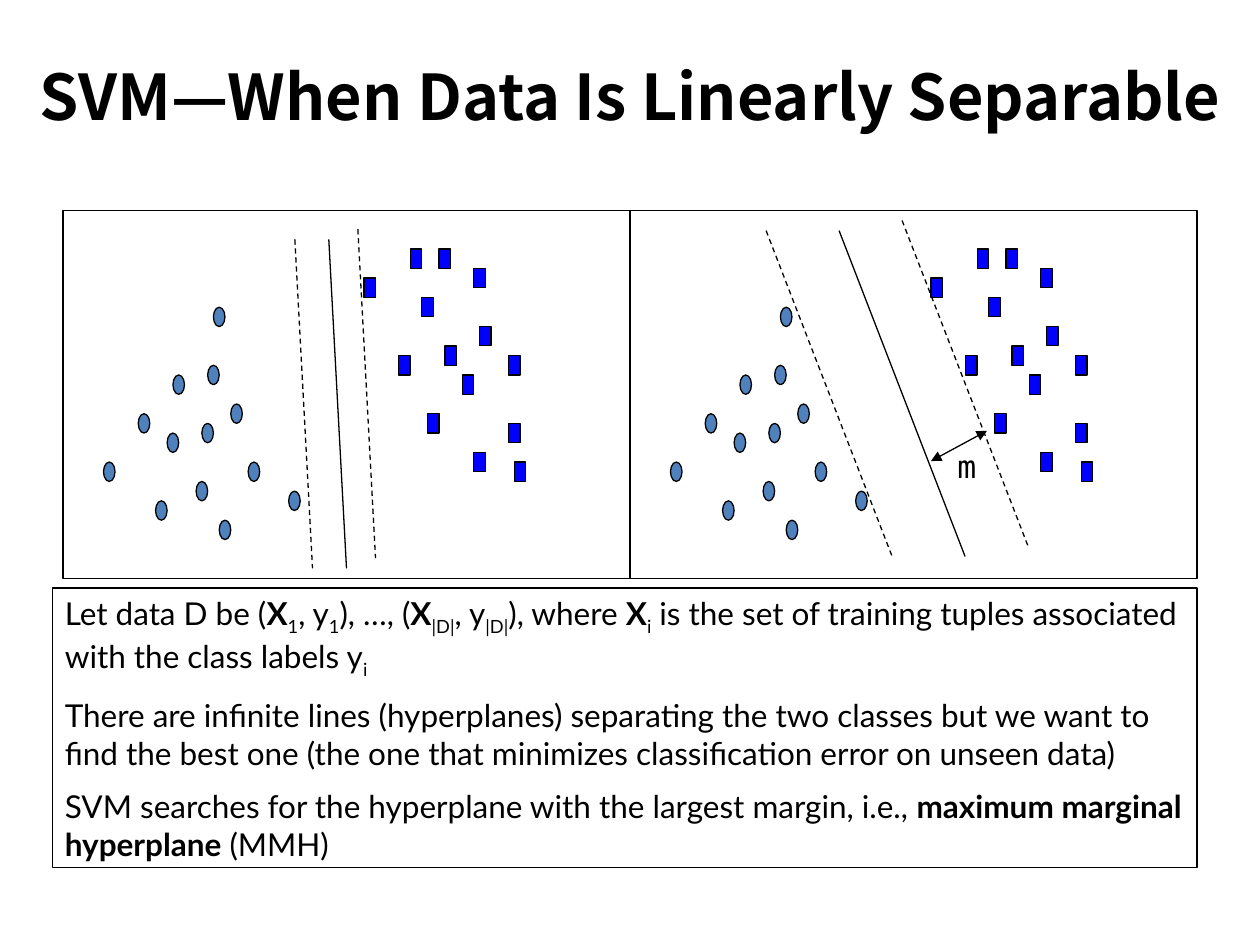
from pptx import Presentation
from pptx.dml.color import RGBColor
from pptx.enum.dml import MSO_LINE
from pptx.enum.shapes import MSO_CONNECTOR, MSO_SHAPE as SHAPE
from pptx.enum.text import MSO_ANCHOR as ANCHOR, PP_ALIGN as ALIGN
from pptx.oxml.ns import qn
from pptx.util import Pt
from lxml.etree import SubElement

COLORS = {"ink": "000000", "circle": "4F81BD", "square": "0000FF"}
TITLE_FONT, BODY_FONT, LABEL_FONT = "Noto Sans CJK SC", "Lato", "DejaVu Sans Mono"

PANEL_TOP, PANEL_WIDTH, PANEL_HEIGHT = 120.24, 324, 210.24
PANEL_LEFTS = (36, 360)
# Data points sit on a grid of 98 by 38 cells; each marker spans two cells.
CELL_WIDTH, CELL_HEIGHT = PANEL_WIDTH / 98, PANEL_HEIGHT / 38

CIRCLES = [(16, 30), (18, 23), (7, 26), (13, 21), (23, 28), (19, 17), (24, 22),
           (25, 16), (29, 20), (32, 26), (27, 32), (39, 29), (26, 10)]
SQUARES = [(58, 15), (52, 7), (60, 4), (63, 21), (62, 9), (66, 14), (65, 4),
           (71, 6), (69, 17), (72, 12), (71, 25), (77, 15), (77, 22), (78, 26)]

# Per panel: the common run and drop, then the start and dash of each line.
SEPARATORS = [
    ((10.1, 188), [(204.5, 131, True), (168.5, 136.8, True), (187.9, 136.8, False)]),
    ((72, 186.2), [(437.8, 131.8, True), (515.5, 126, True), (479.5, 131.8, False)]),
]

BODY = [
    [("Let data D be (", ""), ("X", "bold"), ("1", "sub"), (", y", ""), ("1", "sub"),
     ("), …, (", ""), ("X", "bold"), ("|D|", "sub"), (", y", ""), ("|D|", "sub"),
     ("), where ", ""), ("X", "bold"), ("i", "sub"),
     (" is the set of training tuples associated with the class labels y", ""),
     ("i", "sub")],
    [("There are infinite lines (hyperplanes) separating the two classes but we want to "
      "find the best one (the one that minimizes classification error on unseen data)", "")],
    [("SVM searches for the hyperplane with the largest margin, i.e., ", ""),
     ("maximum marginal hyperplane", "bold"), (" (MMH)", "")],
]


class SlideBuilder:
    def __init__(self, slide):
        self.slide = slide
        self.shapes = slide.shapes

    def start_group(self):
        self.shapes = self.slide.shapes.add_group_shape().shapes

    def end_group(self):
        self.shapes = self.slide.shapes

    def color(self, name):
        return RGBColor.from_string(COLORS[name])

    def outline(self, line):
        line.color.rgb = self.color("ink")
        line.width = Pt(0.75)

    def shape(self, kind, left, top, width, height, fill=None):
        shape = self.shapes.add_shape(kind, Pt(left), Pt(top), Pt(width), Pt(height))
        shape.shadow.inherit = False
        if fill:
            shape.fill.solid()
            shape.fill.fore_color.rgb = self.color(fill)
        else:
            shape.fill.background()
        self.outline(shape.line)
        return shape

    def line(self, start, end, dashed=False, arrows=False):
        connector = self.shapes.add_connector(
            MSO_CONNECTOR.STRAIGHT, *(Pt(value) for value in (*start, *end)))
        self.outline(connector.line)
        if dashed:
            connector.line.dash_style = MSO_LINE.DASH
        properties = connector._element.spPr
        if arrows:
            for tag in ("a:headEnd", "a:tailEnd"):
                SubElement(properties.find(qn("a:ln")), qn(tag), type="triangle")
        SubElement(properties, qn("a:effectLst"))

    def markers(self, kind, fill, cells, panel_left):
        for column, row in cells:
            self.shape(kind, panel_left + column * CELL_WIDTH, PANEL_TOP + row * CELL_HEIGHT,
                       2 * CELL_WIDTH, 2 * CELL_HEIGHT, fill)

    def fill_text(self, shape, paragraphs, font, size, align=ALIGN.LEFT, anchor=ANCHOR.TOP):
        """Fill a shape with paragraphs, each a list of (text, style) runs."""
        frame = shape.text_frame
        frame.word_wrap = True
        frame.vertical_anchor = anchor
        for index, runs in enumerate(paragraphs):
            paragraph = frame.add_paragraph() if index else frame.paragraphs[0]
            paragraph.alignment = align
            if index:
                paragraph.space_before = Pt(size / 2)
            for text, style in runs:
                run = paragraph.add_run()
                run.text = text
                run.font.name = font
                run.font.size = Pt(size)
                run.font.color.rgb = self.color("ink")
                run.font.bold = style == "bold"
                if style == "sub":
                    run.font._element.set("baseline", "-25000")

    def text(self, left, top, width, height, paragraphs, font, size, **placing):
        box = self.shapes.add_textbox(Pt(left), Pt(top), Pt(width), Pt(height))
        self.fill_text(box, paragraphs, font, size, **placing)


def main():
    presentation = Presentation()
    presentation.slide_width, presentation.slide_height = Pt(720), Pt(540)
    builder = SlideBuilder(presentation.slides.add_slide(presentation.slide_layouts[6]))

    builder.text(0, 30.24, 720, 48.24, [[("SVM—When Data Is Linearly Separable", "bold")]],
                 TITLE_FONT, 36, align=ALIGN.CENTER, anchor=ANCHOR.MIDDLE)

    for panel_left, ((run, drop), lines) in zip(PANEL_LEFTS, SEPARATORS):
        builder.start_group()
        builder.markers(SHAPE.OVAL, "circle", CIRCLES, panel_left)
        builder.markers(SHAPE.RECTANGLE, "square", SQUARES, panel_left)
        builder.shape(SHAPE.RECTANGLE, panel_left, PANEL_TOP, PANEL_WIDTH, PANEL_HEIGHT)
        for left, top, dashed in lines:
            builder.line((left, top), (left + run, top + drop), dashed)
    builder.end_group()

    builder.line((532, 263.5), (564, 246.2), arrows=True)
    builder.text(540, 252, 42, 28.8, [[("m", "")]], LABEL_FONT, 18)

    body = builder.shape(SHAPE.RECTANGLE, 30, 336, 654, 159.6)
    builder.fill_text(body, BODY, BODY_FONT, 18)

    presentation.save("out.pptx")


if __name__ == "__main__":
    main()
